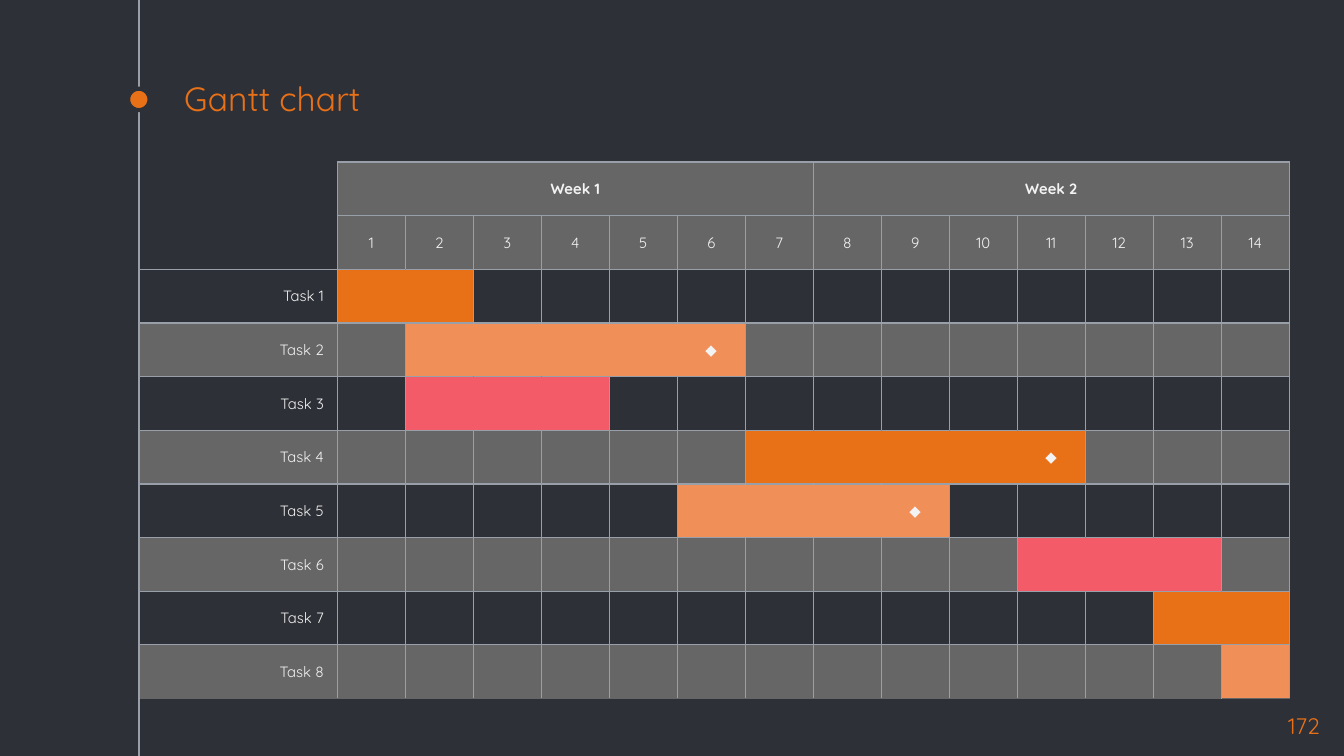
import lxml.etree
import pptx
import pptx.dml.color
import pptx.enum.shapes
import pptx.enum.text
import pptx.oxml.ns
import pptx.util

Pt = pptx.util.Pt
ALIGN = pptx.enum.text.PP_ALIGN
ANCHOR = pptx.enum.text.MSO_ANCHOR
qn = pptx.oxml.ns.qn

TITLE = "Gantt chart"
PAGE_NUMBER = "172"
WEEKS = ["Week 1", "Week 2"]
DAYS_PER_WEEK = 7
# name, first day, last day, bar colour, milestone day
TASKS = [
    ("Task 1", 1, 2, "orange", None),
    ("Task 2", 2, 6, "peach", 6),
    ("Task 3", 2, 4, "pink", None),
    ("Task 4", 7, 11, "orange", 11),
    ("Task 5", 6, 9, "peach", 9),
    ("Task 6", 11, 13, "pink", None),
    ("Task 7", 13, 14, "orange", None),
    ("Task 8", 14, 14, "peach", None),
]
MILESTONE = "◆"

THEME = {
    "font": "Quicksand",
    "title_size": 18, "page_size": 12, "table_size": 8,
    "background": "2E3037", "grid": "999FA9", "band": "666666", "text": "F3F3F3",
    "orange": "E87118", "peach": "F18F59", "pink": "F35B69",
}

SLIDE_W, SLIDE_H = 720, 405
GUIDE_X, DOT_Y, DOT_SIZE = 74.4, 53.3, 11.5
TABLE_X, TABLE_Y = 74.9, 86.8
NAME_W, DAY_W, ROW_H = 105.84, 36.45, 28.77
HEADER_ROWS = 2
GRID_W = 0.75
DAYS = DAYS_PER_WEEK * len(WEEKS)
ROWS = HEADER_ROWS + len(TASKS)


def rgb(name):
    return pptx.dml.color.RGBColor.from_string(THEME[name])


def write(tf, text, size, color, align, bold=False):
    p = tf.paragraphs[0]
    p.text = text
    p.alignment = align
    for r in p.runs:
        r.font.name = THEME["font"]
        r.font.size = Pt(size)
        r.font.bold = bold
        r.font.color.rgb = rgb(color)


def add_text(s, box, text, size, align, anchor):
    tf = s.shapes.add_textbox(*map(Pt, box)).text_frame
    tf.word_wrap = True
    tf.vertical_anchor = anchor
    tf.margin_left = tf.margin_right = tf.margin_top = tf.margin_bottom = Pt(7.2)
    write(tf, text, size, "orange", align)


def add_guide(s):
    line = s.shapes.add_connector(pptx.enum.shapes.MSO_CONNECTOR.STRAIGHT,
                                  Pt(GUIDE_X), Pt(0), Pt(GUIDE_X), Pt(SLIDE_H))
    line.line.color.rgb = rgb("grid")
    line.line.width = Pt(GRID_W)
    lxml.etree.SubElement(line._element.spPr, qn("a:effectLst"))

    dot = s.shapes.add_shape(pptx.enum.shapes.MSO_SHAPE.OVAL,
                             Pt(GUIDE_X - DOT_SIZE / 2), Pt(DOT_Y - DOT_SIZE / 2),
                             Pt(DOT_SIZE), Pt(DOT_SIZE))
    dot.shadow.inherit = False
    dot.fill.solid()
    dot.fill.fore_color.rgb = rgb("orange")
    dot.line.color.rgb = rgb("background")
    dot.line.width = Pt(2.25)


def cell_fill(row, col):
    """Colour name of a cell, or None where the background shows."""
    if row < HEADER_ROWS:
        return "band" if col else None
    index = row - HEADER_ROWS
    _, first, last, color, _ = TASKS[index]
    if first <= col <= last:
        return color
    return "band" if index % 2 else None


def cell_text(row, col):
    if row == 0:
        week, day = divmod(col - 1, DAYS_PER_WEEK)
        return WEEKS[week] if col and day == 0 else ""
    if row < HEADER_ROWS:
        return str(col) if col else ""
    name, _, _, _, milestone = TASKS[row - HEADER_ROWS]
    if col == 0:
        return name
    return MILESTONE if col == milestone else ""


def upright(row, col):
    """Colour of the vertical edge left of a column; it blends in within a bar."""
    if col == 0:
        return None
    if row >= HEADER_ROWS:
        _, first, last, color, _ = TASKS[row - HEADER_ROWS]
        if first < col <= last:
            return color
    return "grid"


def level(row, col):
    """Colour of the horizontal edge above a row."""
    if row == ROWS:
        return "band"
    return None if col == 0 and row < HEADER_ROWS else "grid"


def set_borders(cell, row, col):
    tc_pr = cell._tc.get_or_add_tcPr()
    edges = {"lnL": upright(row, col), "lnR": upright(row, col + 1),
             "lnT": level(row, col), "lnB": level(row + 1, col)}
    for tag, color in edges.items():
        ln = lxml.etree.SubElement(tc_pr, qn("a:" + tag), w=str(Pt(GRID_W)))
        if color is None:
            lxml.etree.SubElement(ln, qn("a:noFill"))
        else:
            fill = lxml.etree.SubElement(ln, qn("a:solidFill"))
            lxml.etree.SubElement(fill, qn("a:srgbClr"), val=THEME[color])


def format_cell(cell, row, col):
    cell.margin_left = cell.margin_right = Pt(7.2)
    cell.margin_top = cell.margin_bottom = Pt(3.6)
    cell.vertical_anchor = ANCHOR.MIDDLE
    set_borders(cell, row, col)
    color = cell_fill(row, col)
    if color:
        cell.fill.solid()
        cell.fill.fore_color.rgb = rgb(color)
    else:
        cell.fill.background()
    write(cell.text_frame, cell_text(row, col), THEME["table_size"], "text",
          ALIGN.CENTER if col else ALIGN.RIGHT, bold=row == 0)
    # Small type in empty cells too, so that rows keep their height
    end = lxml.etree.SubElement(cell.text_frame.paragraphs[0]._p, qn("a:endParaRPr"))
    end.set("sz", str(THEME["table_size"] * 100))


def add_gantt(s):
    frame = s.shapes.add_table(ROWS, DAYS + 1, Pt(TABLE_X), Pt(TABLE_Y),
                               Pt(NAME_W + DAYS * DAY_W), Pt(ROWS * ROW_H))
    table = frame.table
    table.first_row = table.horz_banding = False
    for col, column in enumerate(table.columns):
        column.width = Pt(DAY_W if col else NAME_W)
    for row in range(ROWS):
        table.rows[row].height = Pt(ROW_H)
        for col in range(DAYS + 1):
            format_cell(table.cell(row, col), row, col)
    for first in range(1, DAYS + 1, DAYS_PER_WEEK):
        table.cell(0, first).merge(table.cell(0, first + DAYS_PER_WEEK - 1))


def main():
    prs = pptx.Presentation()
    prs.slide_width, prs.slide_height = Pt(SLIDE_W), Pt(SLIDE_H)
    s = prs.slides.add_slide(prs.slide_layouts[6])
    s.background.fill.solid()
    s.background.fill.fore_color.rgb = rgb("background")
    add_guide(s)
    add_text(s, (91.6, 43.2, 540, 27.4), TITLE, THEME["title_size"],
             ALIGN.LEFT, ANCHOR.BOTTOM)
    add_text(s, (671, 374.4, 43.2, 24.5), PAGE_NUMBER, THEME["page_size"],
             ALIGN.RIGHT, ANCHOR.TOP)
    add_gantt(s)
    prs.save("out.pptx")


if __name__ == "__main__":
    main()
